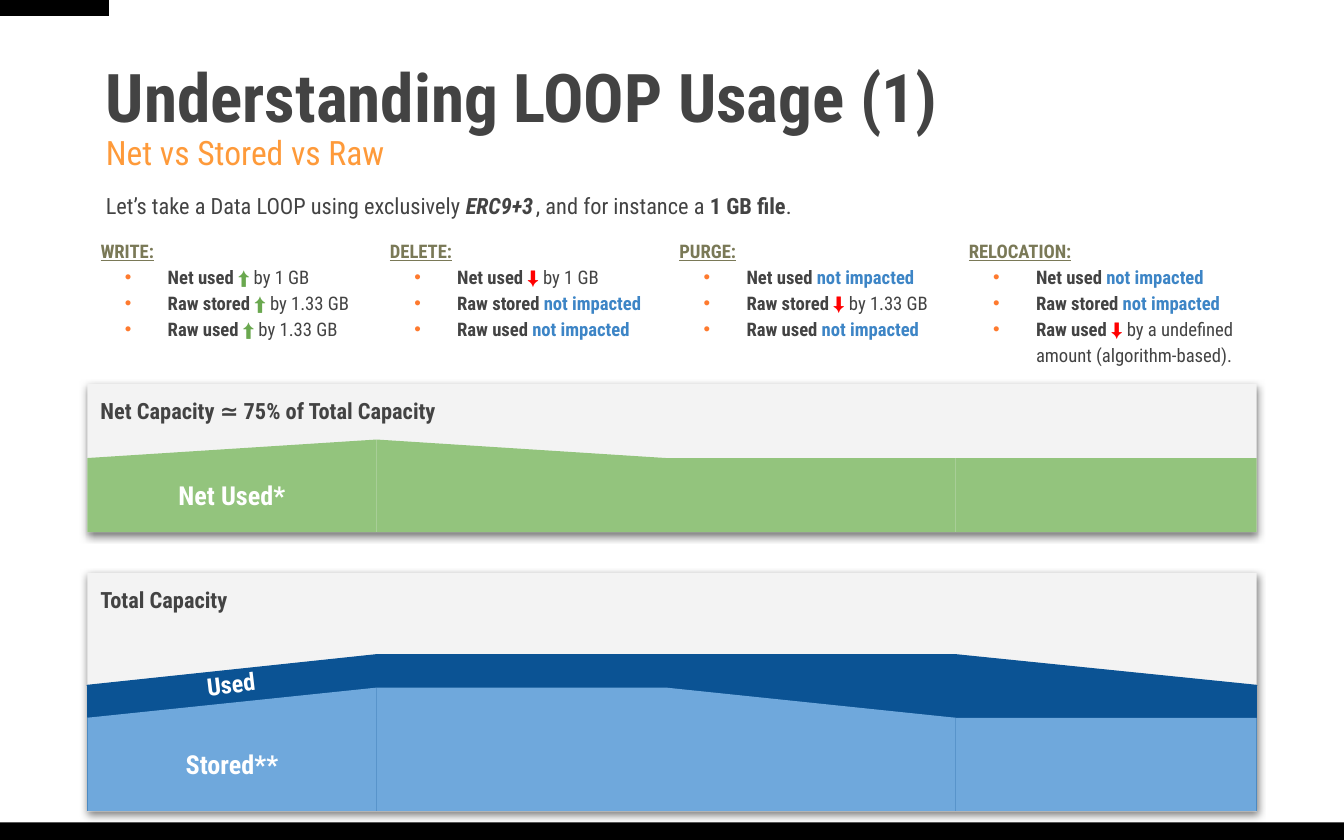
"""Build the slide that explains how LOOP net, stored and raw usage evolve."""
from lxml.etree import SubElement
from pptx import Presentation
from pptx.dml.color import RGBColor as RGB
from pptx.enum.shapes import MSO_SHAPE as SHAPE
from pptx.enum.text import MSO_ANCHOR as ANCHOR, MSO_AUTO_SIZE as AUTO_SIZE, PP_ALIGN as ALIGN
from pptx.oxml.ns import qn
from pptx.util import Cm, Pt

FONT = "Roboto Condensed"
COLOURS = {
    "black": "000000", "white": "FFFFFF", "text": "434343", "subtitle": "FE9A3A",
    "heading": "7A7957", "bullet": "FE7A2E", "panel": "F3F3F3", "same": "3D85C6",
    "up": "6AA84F", "down": "FF0000", "net": "93C47D", "used": "0B5394", "stored": "6FA8DC",
}
EFFECTS = {"up": "⬆", "down": "⬇", "same": "not impacted"}

TITLE = "Understanding LOOP Usage (1)"
SUBTITLE = "Net vs Stored vs Raw"
INTRO = [
    (1.75, 9.42, [("Let’s take a Data LOOP using exclusively ", {}),
                  ("ERC9+3", {"bold": True, "italic": True})]),
    (9.88, 5.46, [(", and for instance a ", {}), ("1 GB file", {"bold": True}), (".", {})]),
]
METRICS = ["Net used ", "Raw stored ", "Raw used "]
OPERATIONS = [
    ("WRITE:", [("up", " by 1 GB"), ("up", " by 1.33 GB"), ("up", " by 1.33 GB")]),
    ("DELETE:", [("down", " by 1 GB"), ("same", ""), ("same", "")]),
    ("PURGE:", [("same", ""), ("down", " by 1.33 GB"), ("same", "")]),
    ("RELOCATION:", [("same", ""), ("same", ""),
                     ("down", " by a undefined amount (algorithm-based).")]),
]

LEFT, COLUMN, LAST_COLUMN = 1.65, 5.47, 5.69
PANEL_WIDTH = 3 * COLUMN + LAST_COLUMN
NET_PEAK, NET_FLAT, NET_BASE = 8.31, 8.66, 10.06
USED_PEAK, USED_FLAT = 12.38, 12.96
STORED_PEAK, STORED_FLAT, TOTAL_BASE = 13.0, 13.57, 15.33
PANELS = [
    ("Net Capacity ≃ 75% of Total Capacity", 7.26, 2.8),
    ("Total Capacity", 10.83, 4.51),
]
RECTANGLE, RAMP, SLOPE = SHAPE.RECTANGLE, SHAPE.FLOWCHART_MANUAL_INPUT, SHAPE.RIGHT_TRIANGLE
AREAS = [
    (RAMP, 0, NET_PEAK, NET_BASE, "net", False, "Net Used*"),
    (RAMP, 1, NET_PEAK, NET_BASE, "net", True, ""),
    (RECTANGLE, 2, NET_FLAT, NET_BASE, "net", False, ""),
    (RECTANGLE, 3, NET_FLAT, NET_BASE, "net", False, ""),
    (SLOPE, 0, USED_PEAK, USED_FLAT, "used", True, ""),
    (RECTANGLE, 0, USED_FLAT, TOTAL_BASE, "used", False, ""),
    (RECTANGLE, 1, USED_PEAK, TOTAL_BASE, "used", False, ""),
    (RECTANGLE, 2, USED_PEAK, TOTAL_BASE, "used", False, ""),
    (SLOPE, 3, USED_PEAK, USED_FLAT, "used", False, ""),
    (RECTANGLE, 3, USED_FLAT, TOTAL_BASE, "used", False, ""),
    (SLOPE, 0, STORED_PEAK, STORED_FLAT, "stored", True, ""),
    (RECTANGLE, 0, STORED_FLAT, TOTAL_BASE, "stored", False, "Stored**"),
    (RECTANGLE, 1, STORED_PEAK, TOTAL_BASE, "stored", False, ""),
    (SLOPE, 2, STORED_PEAK, STORED_FLAT, "stored", False, ""),
    (RECTANGLE, 2, STORED_FLAT, TOTAL_BASE, "stored", False, ""),
    (RECTANGLE, 3, STORED_FLAT, TOTAL_BASE, "stored", False, ""),
]


def add_run(paragraph, text, size, colour="text", bold=False, italic=False, underline=False):
    run = paragraph.add_run()
    run.text = text
    font = run.font
    font.name, font.size = FONT, Pt(size)
    font.bold, font.italic, font.underline = bold, italic, underline
    font.color.rgb = RGB.from_string(COLOURS[colour])


def set_frame(shape, anchor=ANCHOR.TOP, vertical_inset=0.13):
    frame = shape.text_frame
    frame.word_wrap, frame.auto_size = True, AUTO_SIZE.NONE
    frame.vertical_anchor = anchor
    frame.margin_left = frame.margin_right = Cm(0.25)
    frame.margin_top = frame.margin_bottom = Cm(vertical_inset)
    return frame


def set_paragraph(paragraph, spacing, after=0, align=ALIGN.LEFT):
    paragraph.line_spacing, paragraph.alignment = spacing, align
    paragraph.space_before, paragraph.space_after = Pt(0), Pt(after)
    return paragraph


def set_bullet(paragraph, bulleted):
    properties = paragraph._p.get_or_add_pPr()
    properties.set("marL", str(Cm(1.27) if bulleted else 0))
    properties.set("indent", str(Cm(-0.81) if bulleted else 0))
    if bulleted:
        colour = SubElement(properties, qn("a:buClr"))
        SubElement(colour, qn("a:srgbClr"), val=COLOURS["bullet"])
        SubElement(properties, qn("a:buChar"), char="•")
    else:
        SubElement(properties, qn("a:buNone"))


def place(shape, left, top, width, height):
    shape.left, shape.top, shape.width, shape.height = map(Cm, (left, top, width, height))


def add_area(kind, left, top, width, height, colour):
    shape = slide.shapes.add_shape(kind, *map(Cm, (left, top, width, height)))
    shape.shadow.inherit = False
    shape.fill.solid()
    shape.fill.fore_color.rgb = RGB.from_string(COLOURS[colour])
    if colour == "used":
        shape.line.color.rgb = RGB.from_string(COLOURS[colour])
        shape.line.width = Pt(0.75)
    else:
        shape.line.fill.background()
    return shape


def add_shadow(shape):
    effects = shape._element.spPr.find(qn("a:effectLst"))
    shadow = SubElement(effects, qn("a:outerShdw"), blurRad=str(Pt(4.5)), dist=str(Pt(1.5)),
                        dir="5400000", algn="bl", rotWithShape="0")
    colour = SubElement(shadow, qn("a:srgbClr"), val=COLOURS["black"])
    SubElement(colour, qn("a:alpha"), val="50000")


def add_label(shape, text, size):
    frame = set_frame(shape, ANCHOR.MIDDLE, 0.25)
    add_run(set_paragraph(frame.paragraphs[0], 1, align=ALIGN.CENTER), text, size, "white", True)


presentation = Presentation()
presentation.slide_width, presentation.slide_height = Cm(25.4), Cm(15.88)
slide = presentation.slides.add_slide(presentation.slide_layouts.get_by_name("Comparison"))

add_area(RECTANGLE, 0, 15.55, 25.4, 0.33, "black")
add_area(RECTANGLE, 0, 0, 2.06, 0.3, "black")

title = slide.shapes.title
place(title, 1.75, 0.71, 21.9, 3.07)
frame = set_frame(title, ANCHOR.MIDDLE)
add_run(set_paragraph(frame.paragraphs[0], 0.9), TITLE, 36, bold=True)
add_run(set_paragraph(frame.add_paragraph(), 0.9), SUBTITLE, 18, "subtitle")

for left, width, runs in INTRO:
    box = slide.shapes.add_textbox(*map(Cm, (left, 3.43, width, 0.91)))
    paragraph = set_paragraph(set_frame(box).paragraphs[0], 1.15, after=10)
    for text, style in runs:
        add_run(paragraph, text, 12, **style)

bodies = [shape for shape in slide.placeholders if shape.placeholder_format.idx > 0]
for index, (body, (heading, effects)) in enumerate(zip(bodies, OPERATIONS)):
    place(body, LEFT + index * COLUMN, 4.35, LAST_COLUMN if index == 3 else COLUMN,
          2.69 if index == 3 else 2.11)
    frame = set_frame(body)
    paragraph = set_paragraph(frame.paragraphs[0], 1.15)
    set_bullet(paragraph, False)
    add_run(paragraph, heading, 10, "heading", True, underline=True)
    for metric, (effect, detail) in zip(METRICS, effects):
        paragraph = set_paragraph(frame.add_paragraph(), 1.15)
        set_bullet(paragraph, True)
        add_run(paragraph, metric, 10, bold=True)
        add_run(paragraph, EFFECTS[effect], 10, effect, True)
        if detail:
            add_run(paragraph, detail, 10)

for text, top, height in PANELS:
    panel = add_area(RECTANGLE, LEFT, top, PANEL_WIDTH, height, "panel")
    add_shadow(panel)
    frame = set_frame(panel, vertical_inset=0.25)
    add_run(set_paragraph(frame.paragraphs[0], 1), text, 12, bold=True)

for kind, column, top, bottom, colour, flipped, text in AREAS:
    width = LAST_COLUMN if column == 3 else COLUMN
    area = add_area(kind, LEFT + column * COLUMN, top, width, bottom - top, colour)
    if flipped:
        area._element.spPr.xfrm.set("flipH", "1")
    if text:
        add_label(area, text, 14)

used_label = slide.shapes.add_textbox(*map(Cm, (3.58, 12.47, 1.57, 0.91)))
used_label.rotation = 353.3
add_label(used_label, "Used", 13)

presentation.save("out.pptx")
